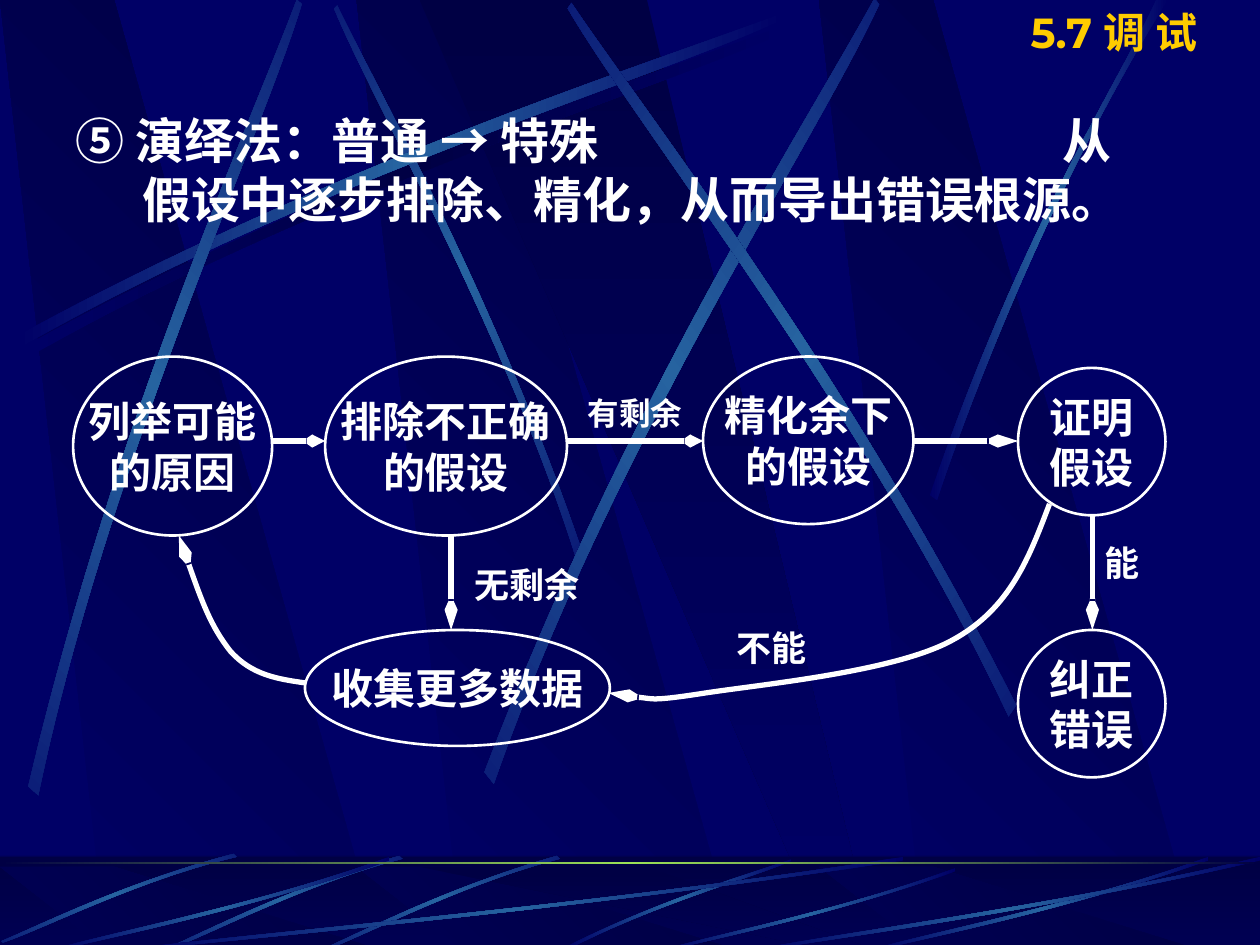
import lxml.etree
import pptx
import pptx.dml.color
import pptx.enum.shapes
import pptx.enum.text
import pptx.oxml
import pptx.oxml.ns
import pptx.util

Inches = pptx.util.Inches
qn = pptx.oxml.ns.qn
COLORS = {"back": "000066", "shade": "000044", "beam": "2663A0",
          "glow": "9CE157", "ink": "FFFFFF", "title": "FFCC00"}
LATIN, CHINESE = "Times New Roman", "Noto Sans CJK SC"
BEAM = ("back", "beam", "back")
PANEL = [(0.28, 1), (1, 1), (0.3, 0), (0, 0)]
WEDGE = [(0, 0), (0.9, 1), (1, 1), (0.5, 0)]
SWEEP = [(0, 0.96), (0.43, 0.43), (0.83, 0.15), (1, 0),
         (1, 0.02), (0.84, 0.19), (0.38, 0.5), (0, 1)]
CLIPPED = [(0, 0.99), (0.4, 0.44), (0.79, 0.17), (0.95, 0),
           (1, 0), (0.52, 0.36), (0.16, 0.81), (0.03, 1)]


def color(name):
    return pptx.dml.color.RGBColor.from_string(COLORS[name])


def add_outline(page, points, closed):
    spots = [(Inches(x), Inches(y)) for x, y in points]
    builder = page.shapes.build_freeform(*spots[0])
    builder.add_line_segments(spots[1:], close=closed)
    shape = builder.convert_to_shape()
    shape.shadow.inherit = False
    return shape


def bend(shape, starts):
    lines = list(shape._element.spPr.iter(qn("a:lnTo")))
    for start in starts:
        first, *others = lines[start:start + 3]
        arc = lxml.etree.Element(qn("a:cubicBezTo"))
        first.addprevious(arc)
        for line in (first, *others):
            arc.append(line[0])
            line.getparent().remove(line)


def set_gradient(shape, names, angle):
    shape.line.fill.background()
    stops = "".join(
        f'<a:gs pos="{100000 * i // (len(names) - 1)}"><a:srgbClr val="{COLORS[name]}"/></a:gs>'
        for i, name in enumerate(names))
    gradient = pptx.oxml.parse_xml(
        f'<a:gradFill {pptx.oxml.ns.nsdecls("a")} rotWithShape="1"><a:gsLst>{stops}</a:gsLst>'
        f'<a:lin ang="{angle * 60000}" scaled="0"/></a:gradFill>')
    shape.fill.background()
    shape._element.spPr.replace(shape._element.spPr.find(qn("a:noFill")), gradient)


def place(units, box, flip=""):
    left, top, width, height = box
    return [(left + width * (1 - x if "h" in flip else x),
             top + height * (1 - y if "v" in flip else y)) for x, y in units]


def add_panels(page, top, height):
    for left in (2.83, 0, 6.5):
        panel = add_outline(page, place(PANEL, (left, top, 3.02, height)), True)
        set_gradient(panel, ("back", "shade"), 315)
    wedge = add_outline(page, place(WEDGE, (3.33, top, 3.61, height)), True)
    set_gradient(wedge, ("shade", "back"), 90)


def add_beam(page, box, turn=0, flip="", names=BEAM, units=SWEEP):
    beam = add_outline(page, place(units, box, flip), True)
    bend(beam, (0, 4))
    set_gradient(beam, names, 0)
    beam.rotation = turn


def add_band(page, box):
    band = page.shapes.add_shape(pptx.enum.shapes.MSO_SHAPE.RECTANGLE, *map(Inches, box))
    band.shadow.inherit = False
    band.line.fill.background()
    return band


def add_backdrop(page):
    add_panels(page, 0, 7.52)
    add_beam(page, (0.2, 0.18, 6.08, 2.67), names=("back", "shade", "back"))
    add_beam(page, (1.41, 1.35, 4.42, 1.75), 45, "h")
    add_beam(page, (0.14, 0.1, 6.08, 2.67))
    add_beam(page, (-1.71, 1.82, 6.08, 2.67), 311.7)
    add_beam(page, (2.31, 1.6, 6.24, 3.01), 321.6)
    add_beam(page, (3.23, 1.52, 6.08, 2.67), 34.8, "h")
    add_beam(page, (7.38, 0, 1.89, 3.97), units=CLIPPED)


def add_floor(page):
    set_gradient(add_band(page, (0, 6.8, 10, 0.75)), ("shade", "back"), 90)
    add_panels(page, 6.88, 0.66)
    veil = add_band(page, (0, 6.79, 10, 0.75))
    veil.fill.solid()
    veil.fill.fore_color.rgb = color("shade")
    tone = veil._element.spPr.find(".//" + qn("a:srgbClr"))
    lxml.etree.SubElement(tone, qn("a:alpha"), val="50000")
    add_beam(page, (4.48, 6.82, 1.8, 0.73))
    for box in ((2.58, 6.76, 1.84, 0.83), (1.33, 6.76, 1.84, 0.83), (0.05, 6.71, 1.79, 0.85)):
        add_beam(page, box, 314.9, "h")
    for left, top, width in ((1, 6.8, 6.17), (0.42, 6.8, 2.67), (5.27, 6.89, 2.31),
                             (6.92, 6.8, 2.67), (6, 6.8, 4)):
        add_beam(page, (left, top, width, 7.55 - top), flip="hv")
    set_gradient(add_band(page, (0, 6.84, 10, 0.02)), ("shade", "glow", "shade"), 0)


def move_to_master(master, shapes):
    master.background.fill.solid()
    master.background.fill.fore_color.rgb = color("back")
    tree = master.shapes._spTree
    for number, shape in enumerate(shapes):
        shape._element.nvSpPr.cNvPr.set("id", str(100 + number))
        tree.insert(2 + number, shape._element)


def format_span(span, size, ink="ink", latin=LATIN):
    span.font.size = pptx.util.Pt(size)
    span.font.bold = True
    span.font.name = latin
    span.font.color.rgb = color(ink)
    east = lxml.etree.SubElement(span._r.get_or_add_rPr(), qn("a:ea"))
    east.set("typeface", CHINESE)


def add_text(page, box, text, size, align=pptx.enum.text.PP_ALIGN.LEFT):
    label = page.shapes.add_textbox(*map(Inches, box))
    label.text_frame.word_wrap = True
    label.text_frame.text = text
    para = label.text_frame.paragraphs[0]
    para.alignment = align
    for span in para.runs:
        format_span(span, size)
    return para


def add_state(page, box, text):
    state = page.shapes.add_shape(pptx.enum.shapes.MSO_SHAPE.OVAL, *map(Inches, box))
    state.shadow.inherit = False
    state.fill.background()
    state.line.color.rgb = color("ink")
    state.line.width = pptx.util.Pt(1.5)
    state.text_frame.text = text
    state.text_frame.word_wrap = False
    state.text_frame.vertical_anchor = pptx.enum.text.MSO_ANCHOR.MIDDLE
    for para in state.text_frame.paragraphs:
        para.alignment = pptx.enum.text.PP_ALIGN.CENTER
        for span in para.runs:
            format_span(span, 24)


def style_arrow(arrow, length="lg"):
    arrow.line.color.rgb = color("ink")
    arrow.line.width = pptx.util.Pt(3)
    lxml.etree.SubElement(arrow.line._get_or_add_ln(), qn("a:tailEnd"),
                          type="arrow", w="sm", len=length)


def add_arrow(page, start, end, length="lg"):
    arrow = page.shapes.add_connector(pptx.enum.shapes.MSO_CONNECTOR.STRAIGHT,
                                      *map(Inches, start + end))
    style_arrow(arrow, length)
    lxml.etree.SubElement(arrow._element.spPr, qn("a:effectLst"))


def add_curved_arrow(page, knots):
    arrow = add_outline(page, knots, False)
    bend(arrow, range(0, len(knots) - 1, 3))
    arrow.fill.background()
    style_arrow(arrow)


def add_flow(page):
    for box, text in (((0.58, 2.83, 1.58, 1.42), "列举可能\n的原因"),
                      ((2.58, 2.83, 1.92, 1.42), "排除不正确\n的假设"),
                      ((5.58, 2.83, 1.67, 1.33), "精化余下\n的假设"),
                      ((8.08, 2.92, 1.17, 1.17), "证明\n假设"),
                      ((2.42, 5, 2.42, 0.92), "收集更多数据"),
                      ((8.08, 5, 1.17, 1.17), "纠正\n错误")):
        add_state(page, box, text)
    add_arrow(page, (2.17, 3.5), (2.58, 3.5), "med")
    add_arrow(page, (4.5, 3.5), (5.58, 3.5), "med")
    add_arrow(page, (7.25, 3.5), (8.08, 3.5))
    add_arrow(page, (8.67, 4.08), (8.67, 5))
    add_arrow(page, (3.58, 4.25), (3.58, 5))
    add_curved_arrow(page, [(8.33, 4), (8.17, 4.42), (8.02, 4.83), (7.56, 5.08), (7.11, 5.33),
                            (6.06, 5.43), (5.6, 5.5), (5.15, 5.57), (4.99, 5.53), (4.83, 5.5)])
    add_curved_arrow(page, [(2.42, 5.42), (2.21, 5.39), (2, 5.36), (1.83, 5.17),
                            (1.67, 4.97), (1.54, 4.61), (1.42, 4.25)])
    add_text(page, (4.5, 3.08, 1.08, 0.4), "有剩余", 18, pptx.enum.text.PP_ALIGN.CENTER)
    for box, text in (((8.67, 4.25, 0.58, 0.44), "能"), ((5.75, 4.92, 1.08, 0.44), "不能"),
                      ((3.67, 4.42, 1.08, 0.44), "无剩余")):
        add_text(page, box, text, 20)


def add_method(page, box):
    para = add_text(page, box, "⑤ 演绎法：普通 ", 28)
    para._p.get_or_add_pPr().set("marL", str(Inches(0.53)))
    para._p.get_or_add_pPr().set("indent", str(Inches(-0.53)))
    for text, latin, spacing in (("→", "Arial", 0), (" 特殊", LATIN, 0), (" ", LATIN, 25900),
                                 ("从假设中逐步排除、精化，从而导出错误根源。", LATIN, 0)):
        span = para.add_run()
        span.text = text
        format_span(span, 28, latin=latin)
        if spacing:
            span._r.rPr.set("spc", str(spacing))


def add_title(page, box):
    title = page.shapes.title
    title.left, title.top, title.width, title.height = map(Inches, box)
    title.text_frame.vertical_anchor = pptx.enum.text.MSO_ANCHOR.TOP
    para = title.text_frame.paragraphs[0]
    para.alignment = pptx.enum.text.PP_ALIGN.LEFT
    for text, latin in (("5.7 ", "Montserrat"), ("调 试", CHINESE)):
        span = para.add_run()
        span.text = text
        format_span(span, 24, "title", latin)


def main():
    deck = pptx.Presentation()
    deck.slide_width, deck.slide_height = Inches(10), Inches(7.5)
    page = deck.slides.add_slide(deck.slide_layouts[5])
    add_backdrop(page)
    add_floor(page)
    move_to_master(deck.slide_master, list(page.shapes)[1:])
    add_flow(page)
    add_method(page, (0.5, 0.83, 8.75, 1.5))
    add_title(page, (8.08, 0, 1.92, 0.5))
    deck.save("out.pptx")


if __name__ == "__main__":
    main()
